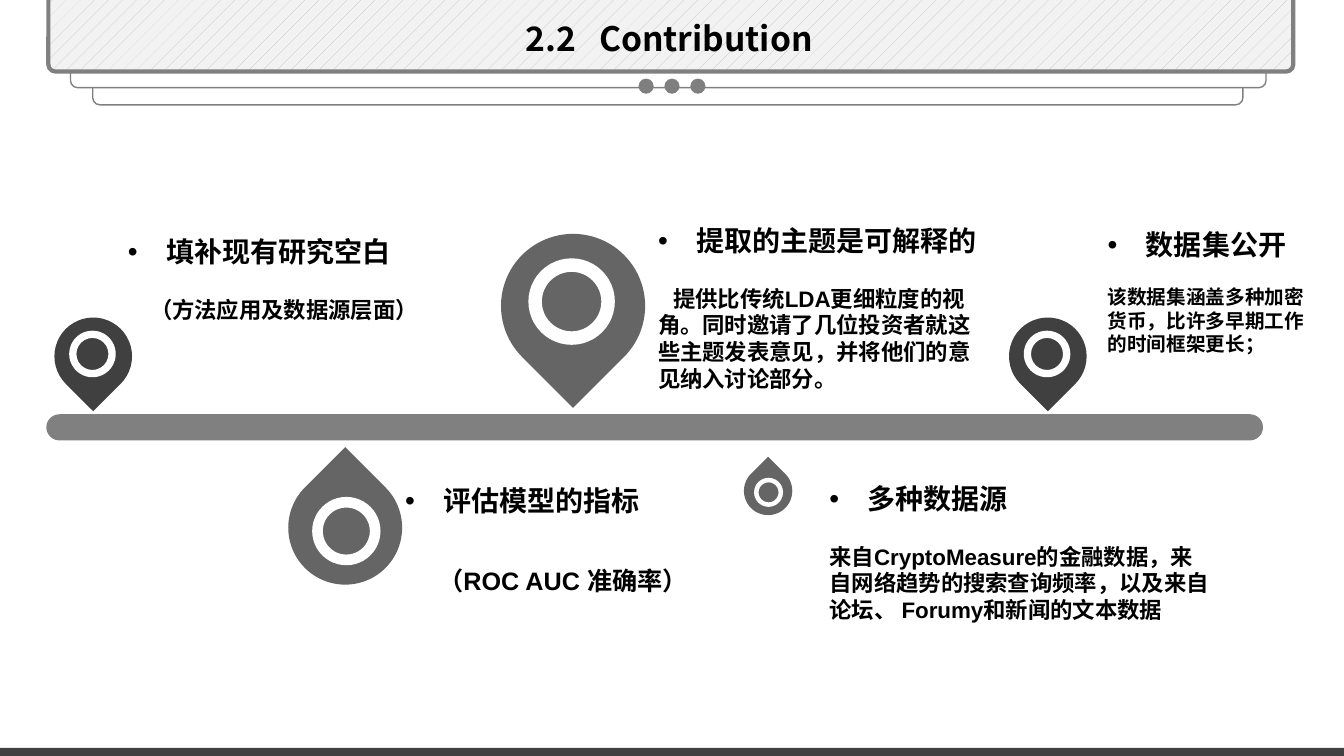
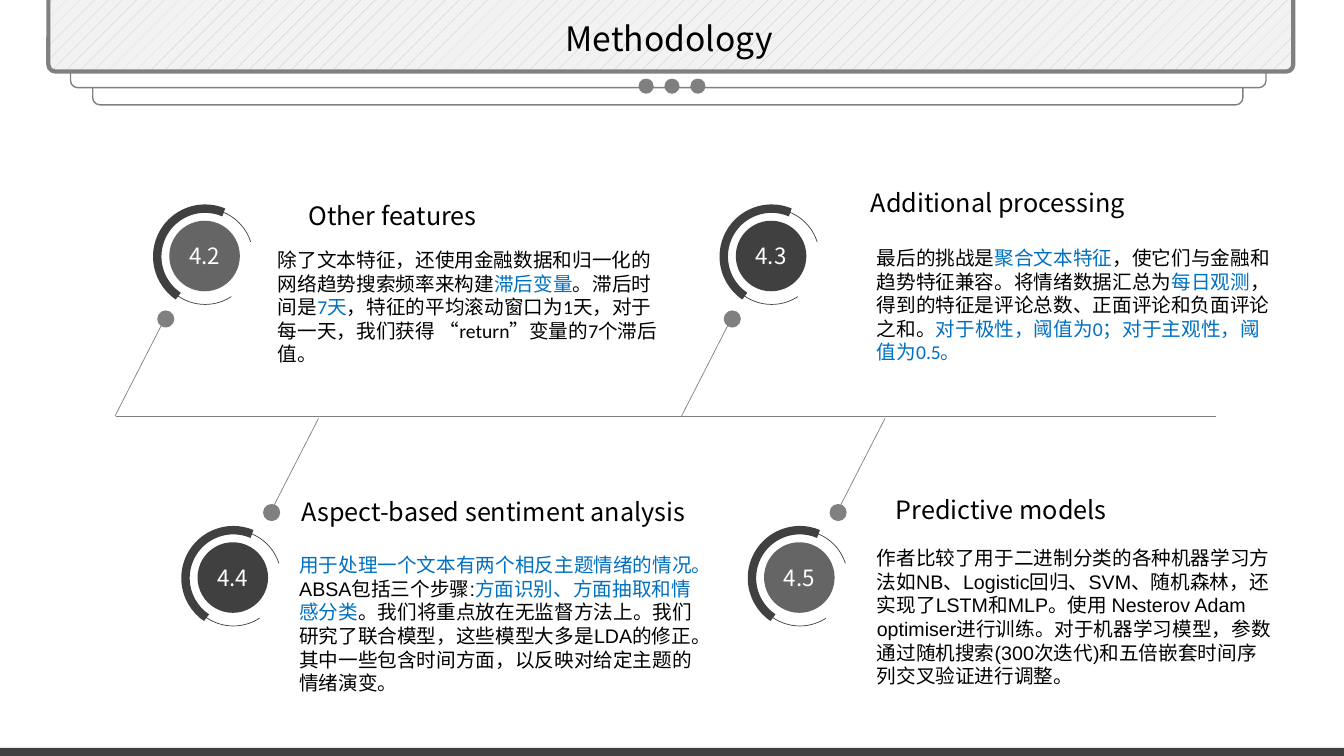
from collections import namedtuple

from lxml import etree
from pptx import Presentation, util as u
from pptx.dml.color import RGBColor
from pptx.enum import dml, shapes, text
from pptx.oxml.ns import qn

# Grid: ten columns or rows to the inch
COLS, ROWS = 133.33, 75
CELL = u.Inches(0.1)
MID = COLS / 2

COLOURS = {
    "black": "000000", "white": "FFFFFF", "dark": "404040", "mid": "656565",
    "rule": "808080", "dot": "7F7F7F", "pale": "F2F2F2", "hatch": "BFBFBF",
    "accent": "0070C0",
}
SANS, SERIF, ARIAL, CALIBRI = "Noto Sans CJK JP", "Times New Roman", "Arial", "Calibri"
LEADING = 1.2
KIND = shapes.MSO_SHAPE
Box = namedtuple("Box", "x y w h")


def rgb(name):
    return RGBColor.from_string(COLOURS[name])


def cells(*values):
    return [round(v * CELL) for v in values]


def outline(line, colour, width):
    line.color.rgb = rgb(colour)
    line.width = u.Pt(width)


def add_part(parts, kind, box, fill=None, line=None, adjust=(), turn=0):
    part = parts.add_shape(kind, *cells(*box))
    part.shadow.inherit = False
    part.rotation = turn
    for i, value in enumerate(adjust):
        part.adjustments[i] = value
    if fill:
        part.fill.solid()
        part.fill.fore_color.rgb = rgb(fill)
    else:
        part.fill.background()
    if line:
        outline(part.line, *line)
    else:
        part.line.fill.background()
    return part


def add_rule(slide, x1, y1, x2, y2):
    rule = slide.shapes.add_connector(shapes.MSO_CONNECTOR.STRAIGHT, *cells(x1, y1, x2, y2))
    outline(rule.line, "rule", 0.5)
    etree.SubElement(rule._element.spPr, qn("a:effectLst"))


def add_run(paragraph, words, size, font, colour="black", bold=False):
    run = paragraph.add_run()
    run.text = words
    run.font.size, run.font.name, run.font.bold = u.Pt(size), font, bold
    run.font.color.rgb = rgb(colour)
    east_asian = etree.SubElement(run._r.get_or_add_rPr(), qn("a:ea"))
    east_asian.set("typeface", SANS)
    return run


def set_line(paragraph, size, align=text.PP_ALIGN.LEFT):
    paragraph.line_spacing = u.Pt(size * LEADING)
    paragraph.alignment = align


def set_indent(paragraph, left, first=0, bullet=None):
    props = paragraph._p.get_or_add_pPr()
    props.set("marL", str(cells(left)[0]))
    props.set("indent", str(cells(first)[0]))
    if bullet:
        etree.SubElement(props, qn("a:buFont")).set("typeface", ARIAL)
        etree.SubElement(props, qn("a:buChar")).set("char", bullet)


def add_frame(slide, box):
    frame = slide.shapes.add_textbox(*cells(*box)).text_frame
    frame.word_wrap = True
    return frame


def add_text(slide, box, runs, size, font, align=text.PP_ALIGN.LEFT, bold=False):
    paragraph = add_frame(slide, box).paragraphs[0]
    set_line(paragraph, size, align)
    return [add_run(paragraph, words, size, font, colour, bold) for words, colour in runs]


# Header band, dots, title and footer shared by the slides
def add_frame_and_title(prs, title_words, bold=False):
    slide = prs.slides.add_slide(prs.slide_layouts[6])
    top = -1
    for x, width, bottom, fill, weight in (
        (9.2, 114.1, 10.4, None, 1),
        (7, 118.6, 8.7, "white", 1),
        (4.8, 123.5, 7.1, "pale", 3),
    ):
        height = bottom - top
        panel = add_part(slide.shapes, KIND.ROUNDED_RECTANGLE, Box(x, top, width, height),
                         fill, ("rule", weight), [0.7 / height])
    panel.fill.patterned()
    panel.fill.pattern = dml.MSO_PATTERN.PERCENT_5
    panel.fill.fore_color.rgb = rgb("hatch")
    panel.fill.back_color.rgb = rgb("pale")
    add_part(slide.shapes, KIND.RECTANGLE, Box(0, ROWS - 0.8, COLS, 0.8), "dark")
    for step in (-1, 0, 1):
        add_part(slide.shapes, KIND.OVAL, Box(MID - 0.75 + step * 2.57, 7.8, 1.5, 1.5), "dot")
    runs = add_text(slide, Box(42.6, 1.3, 47.6, 5), [(w, "black") for w in title_words],
                    24, SANS, text.PP_ALIGN.CENTER, bold)
    for run in runs:
        if run.text == " ":  # wide gap between number and title
            run._r.get_or_add_rPr().set("spc", "1080")
    return slide


# Map pin: drop with a ring, pointing down to or up at the bar
def add_pin(slide, x, y, size, colour, points_up):
    parts = slide.shapes.add_group_shape().shapes
    add_part(parts, KIND.TEAR, Box(x, y, size, size), colour, turn=315 if points_up else 135)
    ring = size * 0.6
    left, top = (0.21, 0.23) if points_up else (0.19, 0.17)
    add_part(parts, KIND.DONUT, Box(x + size * left, y + size * top, ring, ring),
             "white", adjust=[0.156])


# Bulleted heading with an explanation below
def add_contribution(slide, box, heading, detail, size, font, gap, left=0, first=0):
    frame = add_frame(slide, box)
    head = frame.paragraphs[0]
    set_line(head, 20)
    set_indent(head, 3.8, -3.8, "•")
    add_run(head, heading, 20, SERIF, bold=True)
    body = frame.add_paragraph()
    set_line(body, size)
    body.space_before = u.Pt(gap)
    set_indent(body, left, first)
    add_run(body, detail, size, font, bold=True)


def build_contribution(prs):
    slide = add_frame_and_title(prs, ["2.2", " ", "Contribution"], bold=True)
    add_part(slide.shapes, KIND.ROUNDED_RECTANGLE, Box(4.6, 41.1, 120.7, 2.6), "rule", adjust=[0.5])
    for pin in (
        (5.4, 31.5, 7.7, "dark", False),
        (49.7, 23.2, 14.3, "mid", False),
        (28.6, 46.7, 11.3, "mid", True),
        (73.8, 46.3, 4.8, "mid", True),
        (100.1, 31.5, 7.7, "dark", False),
    ):
        add_pin(slide, *pin)
    for item in (
        (Box(11.7, 22.8, 35.3, 9.8), "填补现有研究空白", "（方法应用及数据源层面）",
         16, SERIF, 19.5, 2.2),
        (Box(64.3, 21.7, 34.3, 17.8), "提取的主题是可解释的",
         "提供比传统LDA更细粒度的视角。同时邀请了几位投资者就这些主题发表意见，"
         "并将他们的意见纳入讨论部分。", 16, ARIAL, 19.5, 0, 1.5),
        (Box(108.9, 22.1, 23.1, 13.8), "数据集公开",
         "该数据集涵盖多种加密货币，比许多早期工作的时间框架更长；", 14, SERIF, 17),
        (Box(39.2, 47.5, 33.6, 12.5), "评估模型的指标", "（ROC AUC 准确率）",
         18, ARIAL, 34, 3.3),
        (Box(81.3, 47.3, 39.8, 15.1), "多种数据源",
         "来自CryptoMeasure的金融数据，来自网络趋势的搜索查询频率，"
         "以及来自论坛、 Forumy和新闻的文本数据", 16, ARIAL, 19.5),
    ):
        add_contribution(slide, *item)


# Numbered disc inside a thin and a thick arc
def add_badge(slide, x, y, number, colour):
    size, inset = 9.5, 1.2
    disc = add_part(slide.shapes, KIND.OVAL, Box(x + inset, y + inset, 7, 7), colour)
    frame = disc.text_frame
    frame.margin_left = frame.margin_right = 0
    frame.word_wrap = False
    frame.vertical_anchor = text.MSO_ANCHOR.MIDDLE
    set_line(frame.paragraphs[0], 16, text.PP_ALIGN.CENTER)
    add_run(frame.paragraphs[0], number, 16, SANS, "white")
    arcs = slide.shapes.add_group_shape().shapes
    for start, end, weight in ((56.8, 342.1, 0.5), (124.1, 292.9, 6)):
        add_part(arcs, KIND.ARC, Box(x, y, size, size), line=("dark", weight),
                 adjust=[start * 0.6, end * 0.6])  # degrees to adjustment units


# One branch off the axis: stem, dot and badge
def add_branch(slide, shift, above, number, colour):
    if above:
        stem, dot, badge = (11.4, 41.3, 16.1, 32.1), (15.6, 30.8), (15.6, 20.7)
    else:
        stem, dot, badge = (31.6, 41.5, 26.9, 50.7), (26.1, 50), (18.4, 52.6)
    x1, y1, x2, y2 = stem
    add_rule(slide, x1 + shift, y1, x2 + shift, y2)
    add_part(slide.shapes, KIND.OVAL, Box(dot[0] + shift, dot[1], 1.7, 1.7), "rule")
    add_badge(slide, badge[0] + shift, badge[1], number, colour)


def build_methodology(prs):
    slide = add_frame_and_title(prs, ["Methodology"])
    add_rule(slide, 11.5, 41.3, 120.6, 41.3)
    step = 56.2
    for branch in (
        (0, True, "4.2", "mid"), (0, False, "4.4", "dark"),
        (step, True, "4.3", "dark"), (step, False, "4.5", "mid"),
    ):
        add_branch(slide, *branch)

    # Headings
    left, centre = text.PP_ALIGN.LEFT, text.PP_ALIGN.CENTER
    for words, box, align in (
        ("Other features", Box(29.2, 19.4, 19.5, 4), centre),
        ("Additional processing", Box(85.4, 18.1, 28.4, 4), left),
        ("Aspect‑based sentiment analysis", Box(27.8, 48.7, 42.3, 4), centre),
        ("Predictive models", Box(87.9, 48.6, 32.7, 4), left),
    ):
        add_text(slide, box, [(words, "black")], 18, SANS, align)

    # Explanations, key phrases in the accent colour
    for box, font, runs in (
        (Box(26.6, 24.1, 40.3, 12.8), CALIBRI, [
            ("除了文本特征，还使用金融数据和归一化的网络趋势搜索频率来构建", "black"),
            ("滞后变量", "accent"),
            ("。滞后时间是", "black"),
            ("7天", "accent"),
            ("，特征的平均滚动窗口为1天，对于每一天，我们获得 “return”变量的7个滞后值。", "black")]),
        (Box(86, 23.9, 41.3, 12.8), CALIBRI, [
            ("最后的挑战是", "black"),
            ("聚合文本特征", "accent"),
            ("，使它们与金融和趋势特征兼容。将情绪数据汇总为", "black"),
            ("每日观测", "accent"),
            ("，得到的特征是评论总数、正面评论和负面评论之和。", "black"),
            ("对于极性，阈值为0；对于主观性，阈值为0.5。", "accent")]),
        (Box(28.7, 54.4, 41.3, 15.1), ARIAL, [
            ("用于处理一个文本有两个相反主题情绪的情况。", "accent"),
            ("ABSA包括三个步骤:", "black"),
            ("方面识别、方面抽取和情感分类", "accent"),
            ("。我们将重点放在无监督方法上。我们研究了联合模型，这些模型大多是LDA的修正。"
             "其中一些包含时间方面，以反映对给定主题的情绪演变。", "black")]),
        (Box(86, 53.7, 41.3, 15.1), ARIAL, [
            ("作者比较了用于二进制分类的各种机器学习方法如NB、Logistic回归、SVM、随机森林，"
             "还实现了LSTM和MLP。使用 Nesterov Adam optimiser进行训练。对于机器学习模型，"
             "参数通过随机搜索(300次迭代)和五倍嵌套时间序列交叉验证进行调整。", "black")]),
    ):
        add_text(slide, box, runs, 14, font)


def main():
    prs = Presentation()
    prs.slide_width, prs.slide_height = cells(COLS, ROWS)
    build_contribution(prs)
    build_methodology(prs)
    prs.save("out.pptx")


if __name__ == "__main__":
    main()
